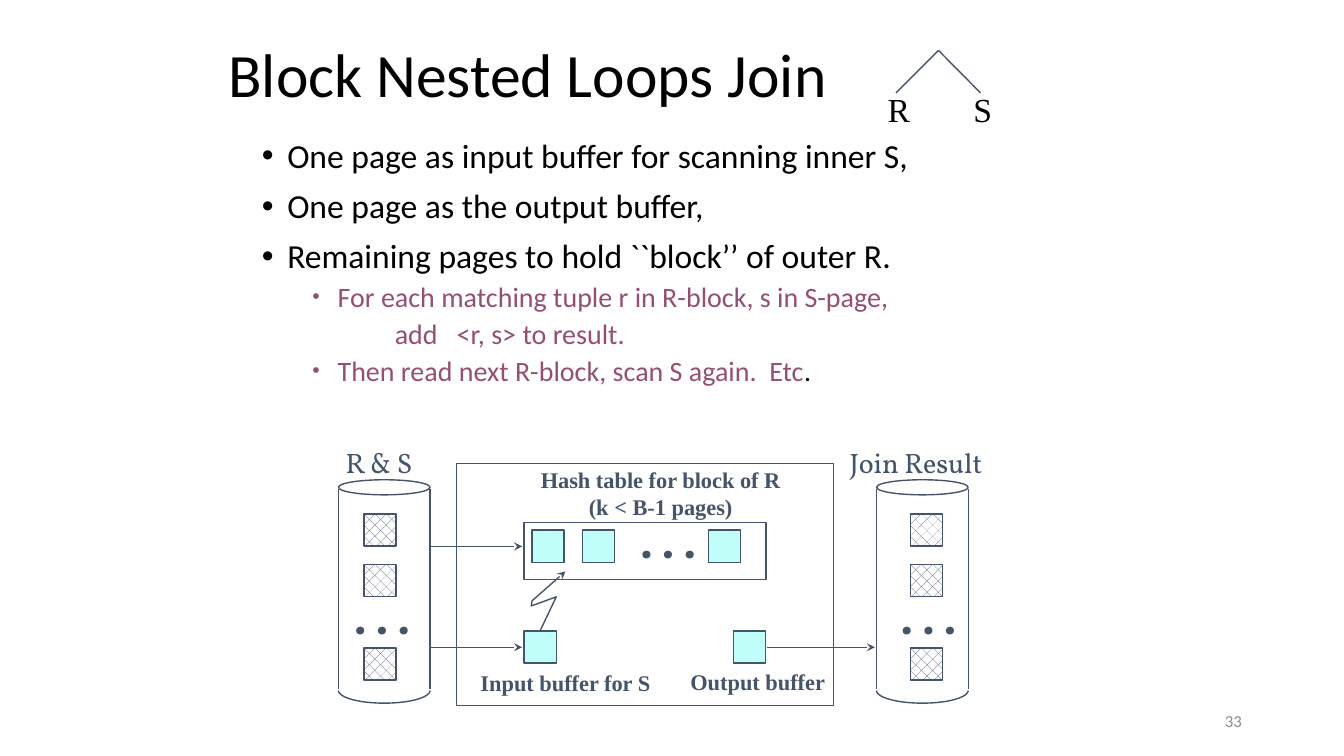
import math
from lxml import etree
from pptx import Presentation
from pptx.dml.color import RGBColor
from pptx.enum.dml import MSO_PATTERN
from pptx.enum.shapes import MSO_CONNECTOR, MSO_SHAPE
from pptx.enum.text import MSO_ANCHOR, PP_ALIGN
from pptx.oxml.ns import qn
from pptx.util import Cm, Pt

RECTANGLE, OVAL = MSO_SHAPE.RECTANGLE, MSO_SHAPE.OVAL
STRAIGHT, HATCH = MSO_CONNECTOR.STRAIGHT, MSO_PATTERN.PERCENT_25
TOP, MIDDLE = MSO_ANCHOR.TOP, MSO_ANCHOR.MIDDLE
LEFT, CENTER, RIGHT = PP_ALIGN.LEFT, PP_ALIGN.CENTER, PP_ALIGN.RIGHT

COLORS = {"text": "000000", "accent": "954F72", "ink": "44546A",
          "buffer": "C0FEF9", "paper": "FFFFFF", "number": "8C8C8C"}
SANS, SERIF, DISPLAY = "Calibri", "Times New Roman", "Vollkorn"

# Content: lengths in centimetres
TITLE = "Block Nested Loops Join"
# Each bullet: runs, text indent, hanging bullet, size, space before, bullet size
MAIN = dict(indent=0.64, bullet=100, size=24, before=10)
DETAIL = dict(indent=1.91, bullet=75, size=20, before=5)
BULLETS = [
    ([("One page as input buffer for scanning inner S,", "text")], MAIN),
    ([("One page as the output buffer,", "text")], MAIN),
    ([("Remaining pages to hold ``block’’ of outer R.", "text")], MAIN),
    ([("For each matching tuple r in R-block, s in S-page,", "accent")], DETAIL),
    ([("add   <r, s> to result.", "accent")],
     dict(DETAIL, indent=3.35, bullet=None)),
    ([("Then read next R-block, scan S again.  Etc", "accent"),
      (".", "text")], DETAIL),
]
LABEL = dict(font=SERIF, size=16, bold=True, color="ink", wrap=False)
HEADING = dict(font=DISPLAY, size=20, color="ink", wrap=False)
LEAF = dict(font=SERIF, size=24, wrap=False)
LABELS = [
    (["R & S"], (8.46, 11.1, 2.26, 1.09), HEADING),
    (["Join Result"], (21.16, 11.1, 3.94, 1.09), HEADING),
    (["Hash table for block of R", "(k < B-1 pages)"],
     (13.36, 11.63, 6.58, 1.6), dict(LABEL, align=CENTER)),
    (["Input buffer for S"], (11.86, 16.74, 4.83, 0.91), LABEL),
    (["Output buffer"], (17.15, 16.71, 3.96, 0.94), LABEL),
    (["R"], (22.12, 2.11, 1.07, 1.27), LEAF),
    (["S"], (24.28, 2.11, 0.99, 1.27), LEAF),
]
DISKS = [(8.53, 9.17), (22.09, 22.94)]  # left edge, left of its pages
DISK_WIDTH, PAGE = 2.31, 0.81
PAGE_TOPS = (12.95, 14.22, 16.33)
MEMORY, HASH_TABLE = (11.51, 11.68, 9.5, 6.1), (13.21, 13.16, 6.1, 1.45)
BUFFERS = [(13.41, 13.36), (14.68, 13.36), (17.86, 13.36),
           (13.21, 15.9), (18.49, 15.9)]
ARROWS = [(10.87, 13.16, 13.77), (10.87, 13.16, 16.31), (19.33, 22.05, 16.31)]
PROBE = [(13.61, 15.9), (14.02, 15.04), (13.39, 15.27),
         (13.41, 15.14), (14.25, 14.4)]
TREE_TOP, TREE_FEET = (23.65, 1.27), [(22.58, 2.34), (24.71, 2.34)]

presentation = Presentation()
presentation.slide_width, presentation.slide_height = Cm(33.87), Cm(19.05)
slide = presentation.slides.add_slide(presentation.slide_layouts[6])
shapes = slide.shapes


def rgb(name):
    return RGBColor.from_string(COLORS[name])


def add_run(paragraph, text, font=SANS, size=24, color="text", bold=False):
    run = paragraph.add_run()
    run.text = text
    run.font.name, run.font.size, run.font.bold = font, Pt(size), bold
    run.font.color.rgb = rgb(color)


def add_text(lines, box, align=LEFT, anchor=TOP, wrap=True, spacing=1.0, **style):
    frame = shapes.add_textbox(*map(Cm, box)).text_frame
    frame.word_wrap, frame.vertical_anchor = wrap, anchor
    for number, line in enumerate(lines):
        paragraph = frame.add_paragraph() if number else frame.paragraphs[0]
        paragraph.alignment, paragraph.line_spacing = align, spacing
        add_run(paragraph, line, **style)


def add_bullets(bullets, box):
    frame = shapes.add_textbox(*map(Cm, box)).text_frame
    frame.word_wrap = True
    for number, (runs, level) in enumerate(bullets):
        paragraph = frame.add_paragraph() if number else frame.paragraphs[0]
        paragraph.line_spacing = 0.9
        paragraph.space_before = Pt(level["before"])
        for text, color in runs:
            add_run(paragraph, text, size=level["size"], color=color)
        properties = paragraph._p.get_or_add_pPr()
        properties.set("marL", str(Cm(level["indent"])))
        if level["bullet"]:
            properties.set("indent", str(-Cm(0.64)))
            etree.SubElement(properties, qn("a:buSzPct"),
                             val=str(level["bullet"] * 1000))
            etree.SubElement(properties, qn("a:buFont"), typeface="Arial")
            etree.SubElement(properties, qn("a:buChar"), char="•")


def outline(shape, arrow=False):
    shape.line.color.rgb, shape.line.width = rgb("ink"), Pt(1)
    if arrow:
        etree.SubElement(shape.line._get_or_add_ln(), qn("a:tailEnd"),
                         type="stealth")


def add_box(kind, box, fill=None):
    shape = shapes.add_shape(kind, *map(Cm, box))
    shape.shadow.inherit = False
    if fill == "hatch":
        shape.fill.patterned()
        shape.fill.pattern = HATCH
        shape.fill.fore_color.rgb = rgb("ink")
        shape.fill.back_color.rgb = rgb("paper")
    elif fill:
        shape.fill.solid()
        shape.fill.fore_color.rgb = rgb(fill)
    else:
        shape.fill.background()
    outline(shape)


def add_line(start, end, arrow=False):
    line = shapes.add_connector(STRAIGHT, *map(Cm, start + end))
    outline(line, arrow)
    etree.SubElement(line._element.spPr, qn("a:effectLst"))


def add_path(points, arrow=False):
    points = [(Cm(x), Cm(y)) for x, y in points]
    builder = shapes.build_freeform(*points[0])
    builder.add_line_segments(points[1:], close=False)
    shape = builder.convert_to_shape()
    shape.shadow.inherit = False
    shape.fill.background()
    outline(shape, arrow)


def add_dots(left, top):
    add_text([". . ."], (left, top, 1.93, 1.63), font=DISPLAY, size=32,
             bold=True, color="ink", wrap=False)


# Title and bullets
add_text([TITLE], (5.51, 0.43, 21.59, 3.07), size=44, anchor=MIDDLE, spacing=0.9)
add_bullets(BULLETS, (6.35, 3.38, 24.77, 6.78))

# Disks with their pages
for left, page_left in DISKS:
    add_box(OVAL, (left, 12.09, DISK_WIDTH, 0.38))
    for side in (left, left + DISK_WIDTH):
        add_line((side, 12.32), (side, 17.35))
    radius = DISK_WIDTH / 2
    angles = [math.pi * step / 32 for step in range(33)]
    add_path([(left + radius + radius * math.cos(angle),
               17.4 + 0.32 * math.sin(angle)) for angle in angles])
    for top in PAGE_TOPS:
        add_box(RECTANGLE, (page_left, top, PAGE, PAGE), "hatch")
    add_dots(page_left - 0.5, 14.73)

# Main memory with hash table and buffers
add_box(RECTANGLE, MEMORY)
add_box(RECTANGLE, HASH_TABLE)
for left, top in BUFFERS:
    add_box(RECTANGLE, (left, top, PAGE, PAGE), "buffer")
add_dots(15.88, 12.83)

# Data flow and join tree
for start, end, height in ARROWS:
    add_line((start, height), (end, height), arrow=True)
add_path(PROBE, arrow=True)
for foot in TREE_FEET:
    add_line(TREE_TOP, foot)

# Labels and slide number
for lines, box, style in LABELS:
    add_text(lines, box, **style)
add_text(["33"], (23.93, 17.65, 7.62, 1.02), size=12, color="number",
         align=RIGHT, anchor=MIDDLE)

presentation.save("out.pptx")
